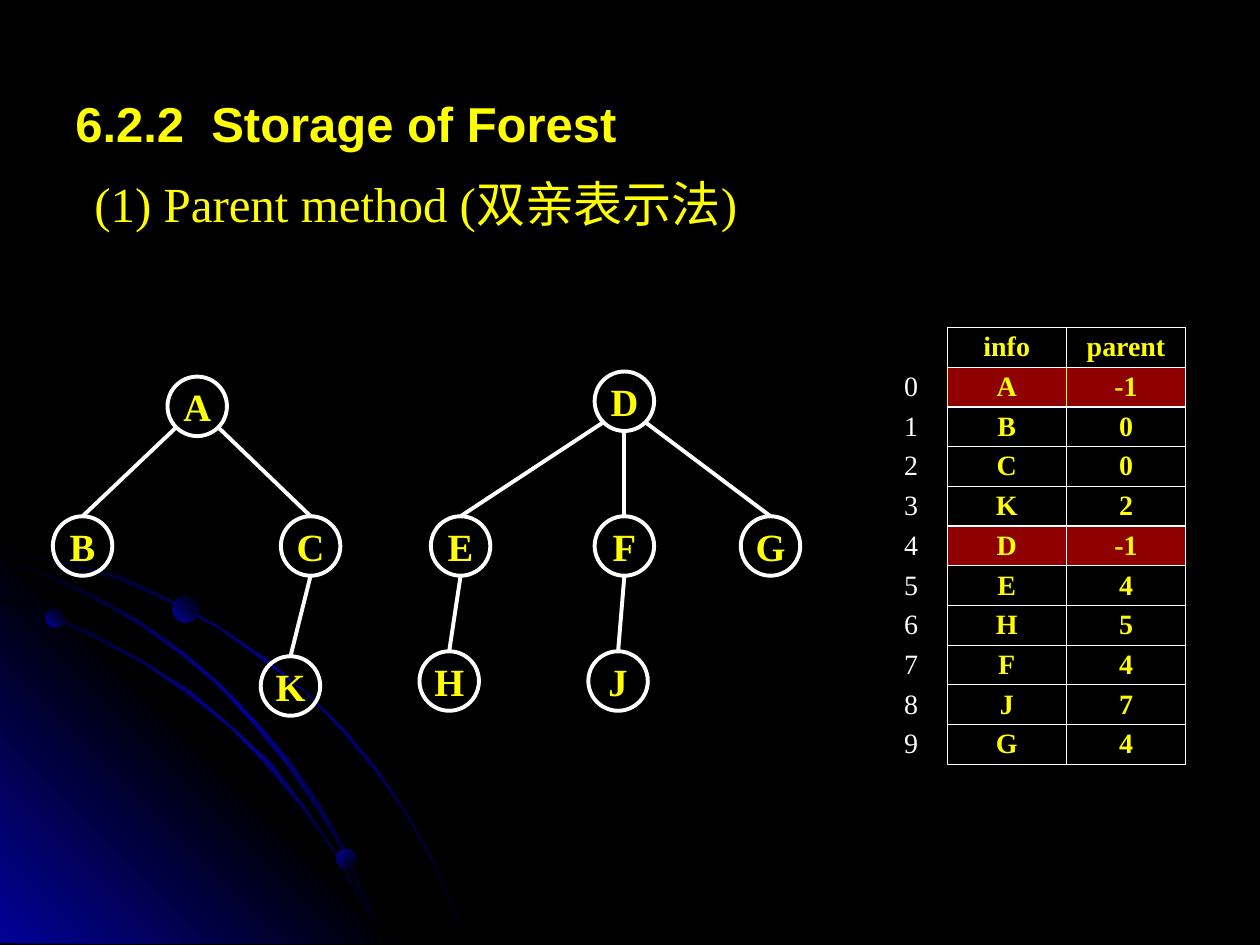
import dataclasses

import lxml.etree
import pptx
import pptx.dml.color
import pptx.enum.shapes
import pptx.enum.text
import pptx.oxml
import pptx.oxml.ns
import pptx.util

Pt = pptx.util.Pt
qn = pptx.oxml.ns.qn
Shape = pptx.enum.shapes.MSO_SHAPE
Align = pptx.enum.text.PP_ALIGN
Anchor = pptx.enum.text.MSO_ANCHOR


@dataclasses.dataclass(frozen=True)
class Theme:
    back: str = "000000"
    ink: str = "FFFF00"
    line: str = "FFFFFF"
    glow: str = "010199"
    root: str = "CC0000"
    head: str = "Arial"
    body: str = "Times New Roman"
    large: int = 28
    mid: int = 22
    small: int = 16


def rgb(code):
    return pptx.dml.color.RGBColor.from_string(code)


def child(parent, tag, **attrs):
    return lxml.etree.SubElement(parent, qn(tag), attrs)


class Page:
    def __init__(self, deck, theme):
        self.theme = theme
        self.slide = deck.slides.add_slide(deck.slide_layouts[6])
        self.shapes = self.slide.shapes
        fill = self.slide.background.fill
        fill.solid()
        fill.fore_color.rgb = rgb(theme.back)

    def letter(self, frame, text, size, color, bold=False, face=None, align=None):
        frame.text = text
        para = frame.paragraphs[0]
        para.alignment = align
        for run in para.runs:
            run.font.size = Pt(size)
            run.font.bold = bold
            run.font.name = face or self.theme.body
            run.font.color.rgb = rgb(color)

    def label(self, box, text, anchor, **style):
        frame = self.shapes.add_textbox(*map(Pt, box)).text_frame
        frame.word_wrap = True
        frame.vertical_anchor = anchor
        self.letter(frame, text, self.theme.large, self.theme.ink, **style)

    def shade(self, shape, colors, angle):
        """Fill with evenly spaced colours; the angle runs counter-clockwise."""
        shape.shadow.inherit = False
        shape.line.fill.background()
        shape.fill.gradient()
        shape.fill.gradient_angle = angle
        stops = shape._element.spPr.find(".//" + qn("a:gsLst"))
        for stop in list(stops):
            stops.remove(stop)
        for i, color in enumerate(colors):
            place = str(100000 * i // (len(colors) - 1))
            child(child(stops, "a:gs", pos=place), "a:srgbClr", val=color)

    def patch(self, points, colors, angle):
        scale = Pt(1)
        build = self.shapes.build_freeform(*points[0], scale=scale)
        build.add_line_segments(points[1:], close=True)
        self.shade(build.convert_to_shape(), colors, angle)

    def ball(self, left, top, size, angle):
        oval = self.shapes.add_shape(Shape.OVAL, *map(Pt, (left, top, size, size)))
        self.shade(oval, (self.theme.glow, self.theme.back), angle)

    def node(self, name, x, y, rad):
        box = (x - rad, y - rad, 2 * rad, 2 * rad)
        oval = self.shapes.add_shape(Shape.OVAL, *map(Pt, box))
        oval.shadow.inherit = False
        oval.fill.background()
        oval.line.color.rgb = rgb(self.theme.line)
        oval.line.width = Pt(2.25)
        frame = oval.text_frame
        frame.word_wrap = False
        frame.vertical_anchor = Anchor.MIDDLE
        frame.margin_left = frame.margin_right = 0
        frame.margin_top = frame.margin_bottom = 0
        self.letter(frame, name, self.theme.mid, self.theme.ink, True, align=Align.CENTER)

    def edge(self, start, end, side, rad):
        """Join a parent to its child's top; side -1, 0, 1 leaves left, down, right."""
        slant = 0.71 * rad
        ends = (start[0] + side * slant, start[1] + (slant if side else rad),
                end[0], end[1] - rad)
        link = self.shapes.add_connector(
            pptx.enum.shapes.MSO_CONNECTOR.STRAIGHT, *map(Pt, ends))
        link.line.color.rgb = rgb(self.theme.line)
        link.line.width = Pt(2.25)
        child(link._element.spPr, "a:effectLst")

    def border(self, cell, sides):
        props = cell._tc.get_or_add_tcPr()
        for side, color in zip("LRTB", sides):
            line = child(props, "a:ln" + side, w=str(Pt(0.75)))
            if color:
                child(child(line, "a:solidFill"), "a:srgbClr", val=color)
            else:
                child(line, "a:noFill")

    def grid(self, left, top, widths, high, rows):
        theme = self.theme
        table = self.shapes.add_table(
            len(rows), len(widths), Pt(left), Pt(top),
            Pt(sum(widths)), Pt(high * len(rows))).table
        table.first_row = table.horz_banding = False
        for column, width in zip(table.columns, widths):
            column.width = Pt(width)
        for r, row in enumerate(rows):
            table.rows[r].height = Pt(high)
            edge = theme.ink if r == 1 else theme.line
            for c, text in enumerate(row):
                cell = table.cell(r, c)
                cell.margin_left = cell.margin_right = 0
                cell.margin_top = cell.margin_bottom = 0
                cell.vertical_anchor = Anchor.MIDDLE
                right = edge if c < 2 else theme.line
                self.border(cell, (edge, right, theme.line, theme.line) if c
                            else (None, right, None, None))
                if c and row[2] == "-1":
                    cell.fill.solid()
                    cell.fill.fore_color.rgb = rgb(theme.root)
                    tint = cell._tc.tcPr.find(qn("a:solidFill") + "/" + qn("a:srgbClr"))
                    child(tint, "a:alpha", val="70000")
                else:
                    cell.fill.background()
                self.letter(cell.text_frame, text, theme.small,
                            theme.ink if c else theme.line, bool(c), align=Align.CENTER)


WIDE = [(41, 321.8), (20.2, 317.5), (0, 313.2), (0, 315.4), (20.2, 319), (40.3, 323.3),
        (69.8, 331.9), (97.2, 344.2), (124.6, 359.3), (149.8, 376.6), (173.5, 395.3),
        (195.1, 416.9), (214.6, 440.6), (232.6, 467.3), (242.6, 484.6), (252, 502.6),
        (259.2, 520.6), (266.4, 539.3), (267.8, 539.3), (260.6, 520.6), (253.4, 502.6),
        (244.1, 484.6), (234, 466.6), (216, 439.9), (195.8, 416.2), (174.2, 394.6),
        (150.5, 375.1), (125.3, 357.8), (97.9, 343.4), (70.6, 330.5)]
WEDGE = [(231.8, 539.3), (0, 539.3), (0, 307.4)]
LOW = [(0, 342), (29.5, 351.4), (56.9, 363.6), (84.2, 378.7), (109.4, 395.3),
       (132.5, 414.7), (154.8, 436.3), (174.2, 460.8), (191.5, 486.7), (205.9, 512.6),
       (213.1, 525.6), (218.2, 539.3), (216.7, 539.3), (211.7, 527), (205.2, 514.1),
       (190.8, 487.4), (172.8, 461.5), (153.4, 437.8), (131.8, 416.2), (108, 396.7),
       (82.8, 380.2), (55.4, 365), (28.1, 352.8), (0, 343.4)]
HIGH = [(0, 319.7), (25.9, 329), (53.3, 342), (78.5, 355.7), (102.2, 373), (124.6, 391.7),
        (145.4, 414), (163.4, 435.6), (181.4, 461.5), (192.2, 480.2), (201.6, 499.7),
        (210.2, 519.8), (216.7, 539.3), (218.2, 539.3), (211.7, 518.4), (203, 499),
        (193.7, 478.8), (182.9, 460.1), (164.9, 434.2), (146.9, 412.6), (126, 391),
        (103.7, 371.5), (79.9, 355), (54.7, 340.6), (28.1, 327.6), (0, 318.2)]
BALLS = [(25.9, 347.8, 10.8, 45), (192.2, 485.3, 11.5, 315), (98.6, 340.6, 15.1, 45)]

RAD = 17
NODES = {"A": (112.7, 232.2), "B": (47.2, 312), "C": (177.5, 312), "K": (166, 392),
         "D": (356.8, 229.3), "E": (263.2, 312), "F": (356.8, 312), "G": (440.3, 312),
         "H": (256.7, 389.2), "J": (353.2, 389.2)}
EDGES = [("A", "B", -1), ("A", "C", 1), ("C", "K", 0), ("D", "E", -1),
         ("D", "F", 0), ("D", "G", 1), ("E", "H", 0), ("F", "J", 0)]
ORDER = "ABCKDEHFJG"


def main():
    deck = pptx.Presentation()
    deck.slide_width, deck.slide_height = Pt(720), Pt(540)
    theme = Theme()
    page = Page(deck, theme)

    dark, glow = theme.back, theme.glow
    page.patch(WIDE, (dark, glow, dark), 315)
    page.patch(WEDGE, (glow, dark, glow), 45)
    for arc in (LOW, HIGH):
        page.patch(arc, (dark, glow, dark), 315)
    for ball in BALLS:
        page.ball(*ball)

    page.label((36, 40.3, 335.5, 59.8), "6.2.2  Storage of Forest", Anchor.MIDDLE,
               bold=True, face=theme.head)
    page.label((46.8, 95.8, 386, 41), "(1) Parent method (双亲表示法)", Anchor.TOP)

    above = {low: top for top, low, side in EDGES}
    rows = [("", "info", "parent")]
    for i, name in enumerate(ORDER):
        up = ORDER.index(above[name]) if name in above else -1
        rows.append((str(i), name, str(up)))
    page.grid(500.2, 187.2, (41, 68.2, 68.2), 22.7, rows)

    for name, spot in NODES.items():
        page.node(name, *spot, RAD)
    for top, low, side in EDGES:
        page.edge(NODES[top], NODES[low], side, RAD)
    deck.save("out.pptx")


if __name__ == "__main__":
    main()
